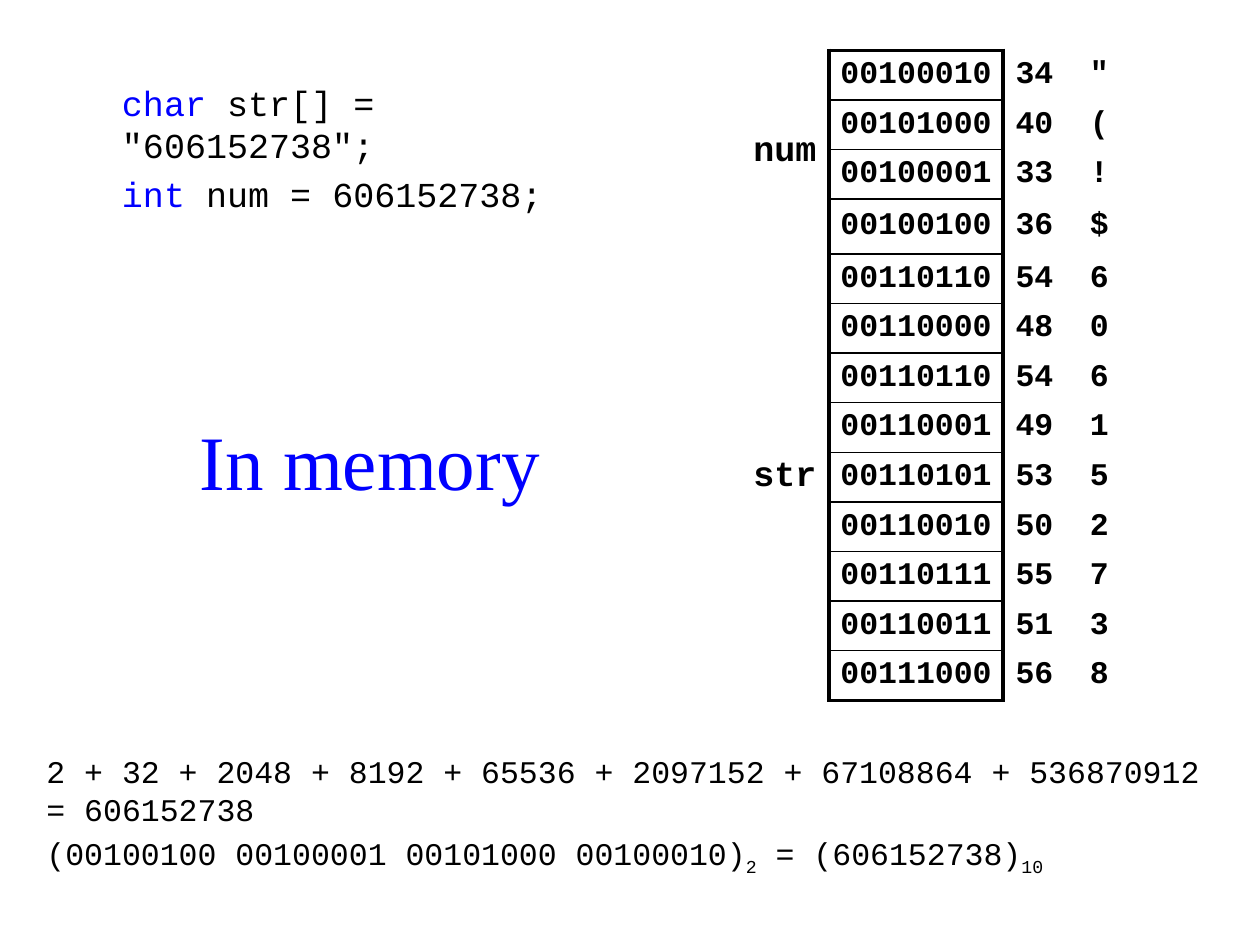
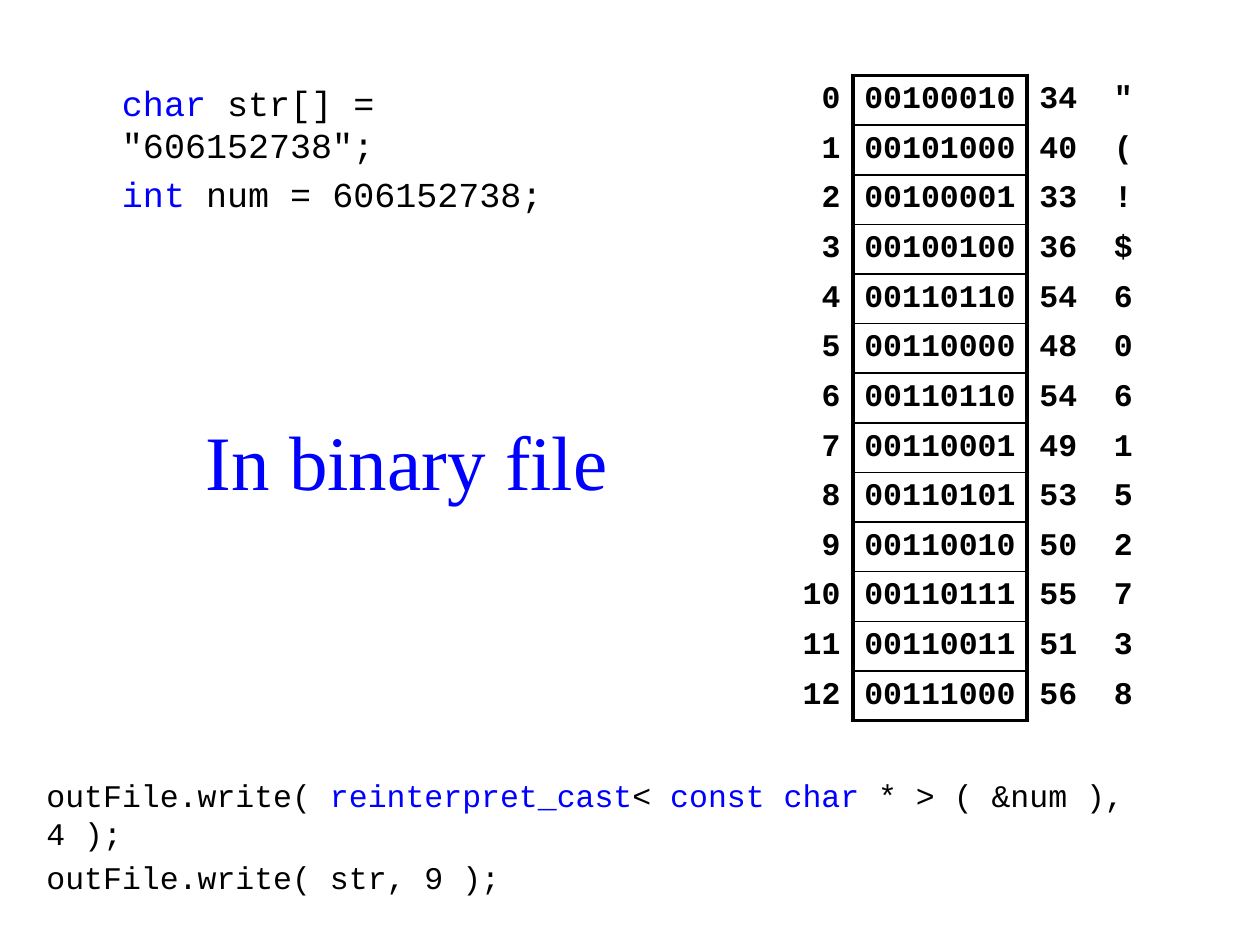
from dataclasses import dataclass

from lxml import etree
from pptx import Presentation
from pptx.dml.color import RGBColor
from pptx.enum.text import MSO_ANCHOR, PP_ALIGN
from pptx.oxml.ns import qn
from pptx.util import Inches, Pt

LEFT, CENTER, RIGHT = PP_ALIGN.LEFT, PP_ALIGN.CENTER, PP_ALIGN.RIGHT
TOP, MIDDLE = MSO_ANCHOR.TOP, MSO_ANCHOR.MIDDLE
BLANK_LAYOUT = 6


@dataclass(frozen=True)
class Theme:
    ink: str = "000000"
    accent: str = "0000FF"
    code_font: str = "Courier New"
    title_font: str = "Times New Roman"
    title_size: int = 44
    code_size: int = 20
    byte_size: int = 18
    frame: float = 2.25
    rule: float = 1


THEME = Theme()
KEYWORD, SUBSCRIPT = "keyword", "subscript"

DECLARATIONS = [
    [("char ", KEYWORD), ('str[] = "606152738";', None)],
    [("int ", KEYWORD), ("num = 606152738;", None)],
]
SUM_OF_POWERS = [
    [("2 + 32 + 2048 + 8192 + 65536 + 2097152 + 67108864 + 536870912 = 606152738", None)],
    [("(00100100 00100001 00101000 00100010)", None), ("2", SUBSCRIPT),
     (" = (606152738)", None), ("10", SUBSCRIPT)],
]
WRITE_CALLS = [
    [("outFile.write( ", None), ("reinterpret_cast", KEYWORD), ("< ", None),
     ("const char", KEYWORD), (" * > ( &num ), 4 );", None)],
    [("outFile.write( str, 9 );", None)],
]
BYTES = [34, 40, 33, 36, 54, 48, 54, 49, 53, 50, 55, 51, 56]
VARIABLES = [("num", 0, 3), ("str", 4, 12)]
ROW_HEIGHT = 5.12 / len(BYTES)
BYTE_COLUMNS = [1.38, 0.59, 0.39]
BITS_COLUMN = 1


def set_space_before(paragraph, percent):
    spacing = etree.Element(qn("a:spcBef"))
    etree.SubElement(spacing, qn("a:spcPct"), val=str(percent * 1000))
    paragraph._p.get_or_add_pPr().insert(0, spacing)


def style_paragraph(paragraph, size, font=THEME.code_font, color=THEME.ink,
                    bold=False, align=LEFT, before=20):
    paragraph.alignment = align
    paragraph.font.size = Pt(size)
    paragraph.font.name = font
    paragraph.font.bold = bold
    paragraph.font.color.rgb = RGBColor.from_string(color)
    if before:
        set_space_before(paragraph, before)


def add_text_frame(slide, left, top, width, height, anchor=TOP):
    box = slide.shapes.add_textbox(Inches(left), Inches(top), Inches(width), Inches(height))
    frame = box.text_frame
    frame.word_wrap = True
    frame.vertical_anchor = anchor
    return frame


def add_title(slide, title, width):
    paragraph = add_text_frame(slide, 1.46, 3.16, width, 0.98, MIDDLE).paragraphs[0]
    paragraph.add_run().text = title
    style_paragraph(paragraph, THEME.title_size, THEME.title_font, THEME.accent,
                    align=CENTER, before=0)


def add_code(slide, lines, left, top, width, height, size):
    frame = add_text_frame(slide, left, top, width, height)
    for index, line in enumerate(lines):
        paragraph = frame.add_paragraph() if index else frame.paragraphs[0]
        style_paragraph(paragraph, size)
        for text, role in line:
            run = paragraph.add_run()
            run.text = text
            if role == KEYWORD:
                run.font.color.rgb = RGBColor.from_string(THEME.accent)
            elif role == SUBSCRIPT:
                run._r.get_or_add_rPr().set("baseline", "-25000")


def set_borders(cell, widths):
    properties = cell._tc.get_or_add_tcPr()
    for side in "LRTB":
        width = widths.get(side, 0)
        line = etree.SubElement(properties, qn(f"a:ln{side}"), w=str(Pt(width)))
        if width:
            fill = etree.SubElement(line, qn("a:solidFill"))
            etree.SubElement(fill, qn("a:srgbClr"), val=THEME.ink)
        else:
            etree.SubElement(line, qn("a:noFill"))


def byte_borders(row, column):
    frame, rule = THEME.frame, THEME.rule
    if column == BITS_COLUMN:
        return {"L": frame, "R": frame,
                "T": rule if row else frame,
                "B": rule if row < len(BYTES) - 1 else frame}
    return {BITS_COLUMN - 1: {"R": frame}, BITS_COLUMN + 1: {"L": frame}}.get(column, {})


def fill_cell(cell, text, align, size=THEME.byte_size, before=20):
    paragraph = cell.text_frame.paragraphs[0]
    paragraph.add_run().text = text
    style_paragraph(paragraph, size, bold=True, align=align, before=before)


def add_byte_table(slide, left, top, label_width):
    widths = [label_width, *BYTE_COLUMNS]
    graphic = slide.shapes.add_table(
        len(BYTES), len(widths), Inches(left), Inches(top),
        Inches(sum(widths)), Inches(ROW_HEIGHT * len(BYTES)))
    table = graphic.table
    table.first_row = table.horz_banding = False
    for column, width in zip(table.columns, widths):
        column.width = Inches(width)
    for row, code in enumerate(BYTES):
        table.rows[row].height = Inches(ROW_HEIGHT)
        for column in range(len(widths)):
            cell = table.cell(row, column)
            set_borders(cell, byte_borders(row, column))
            cell.fill.background()
            cell.vertical_anchor = MIDDLE
            cell.margin_left = cell.margin_right = Inches(0.08 if column == BITS_COLUMN else 0.1)
            cell.margin_top = cell.margin_bottom = Inches(0.04)
        fill_cell(table.cell(row, 1), f"{code:08b}", CENTER)
        fill_cell(table.cell(row, 2), str(code), LEFT)
        fill_cell(table.cell(row, 3), chr(code), LEFT)
    return table


def label_variables(table):
    for name, first, last in VARIABLES:
        cell = table.cell(first, 0)
        cell.merge(table.cell(last, 0))
        cell.margin_top = cell.margin_bottom = Inches(0.05)
        fill_cell(cell, name, RIGHT, THEME.code_size, 50)


def label_offsets(table):
    for offset in range(len(BYTES)):
        fill_cell(table.cell(offset, 0), str(offset), RIGHT)


def add_layout_slide(deck, title, title_width, footnote, footnote_top, footnote_height):
    slide = deck.slides.add_slide(deck.slide_layouts[BLANK_LAYOUT])
    add_title(slide, title, title_width)
    add_code(slide, footnote, 0.27, footnote_top, 9.45, footnote_height, THEME.byte_size)
    add_code(slide, DECLARATIONS, 0.87, 0.6, 4.33, 0.79, THEME.code_size)
    return slide


def main():
    deck = Presentation()
    deck.slide_width, deck.slide_height = Inches(10), Inches(7.5)

    memory = add_layout_slide(deck, "In memory", 2.95, SUM_OF_POWERS, 5.92, 1.18)
    label_variables(add_byte_table(memory, 5.79, 0.4, 0.79))

    binary_file = add_layout_slide(deck, "In binary file", 3.54, WRITE_CALLS, 6.11, 0.79)
    label_offsets(add_byte_table(binary_file, 6.18, 0.6, 0.59))

    deck.save("out.pptx")


main()
